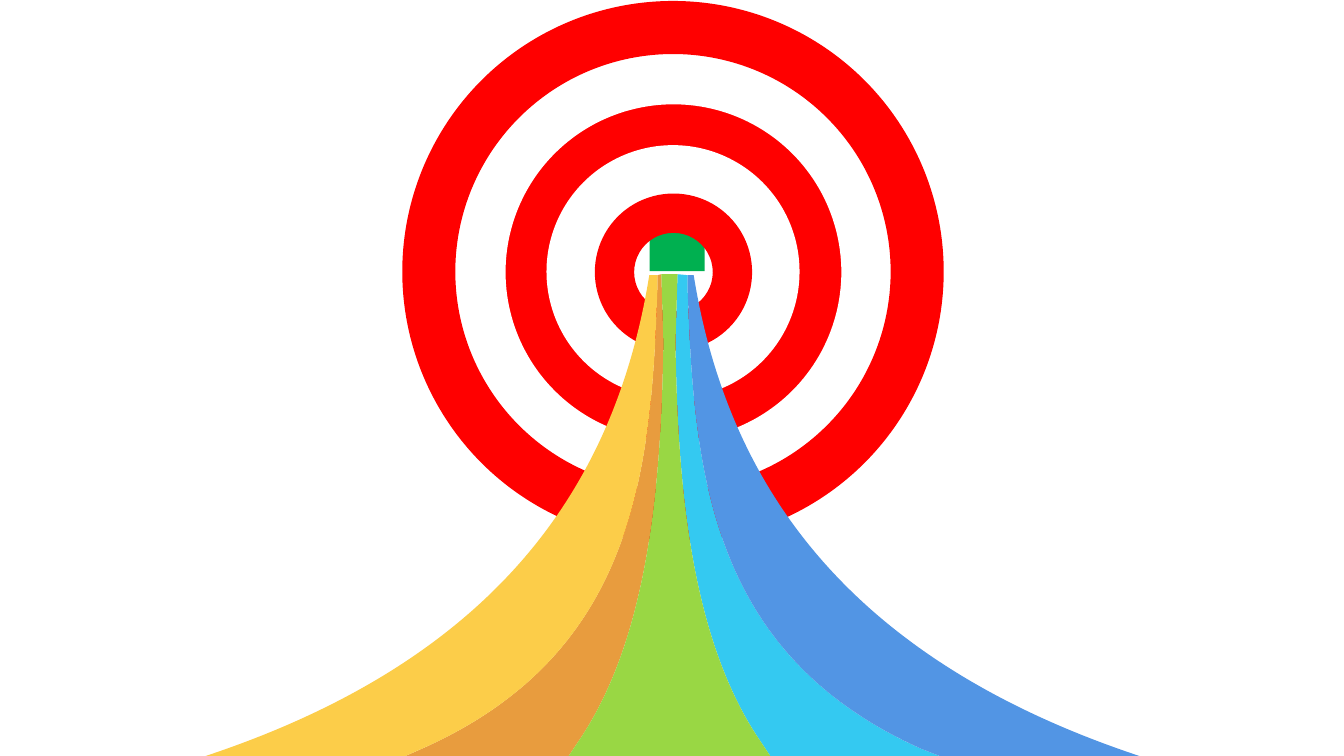
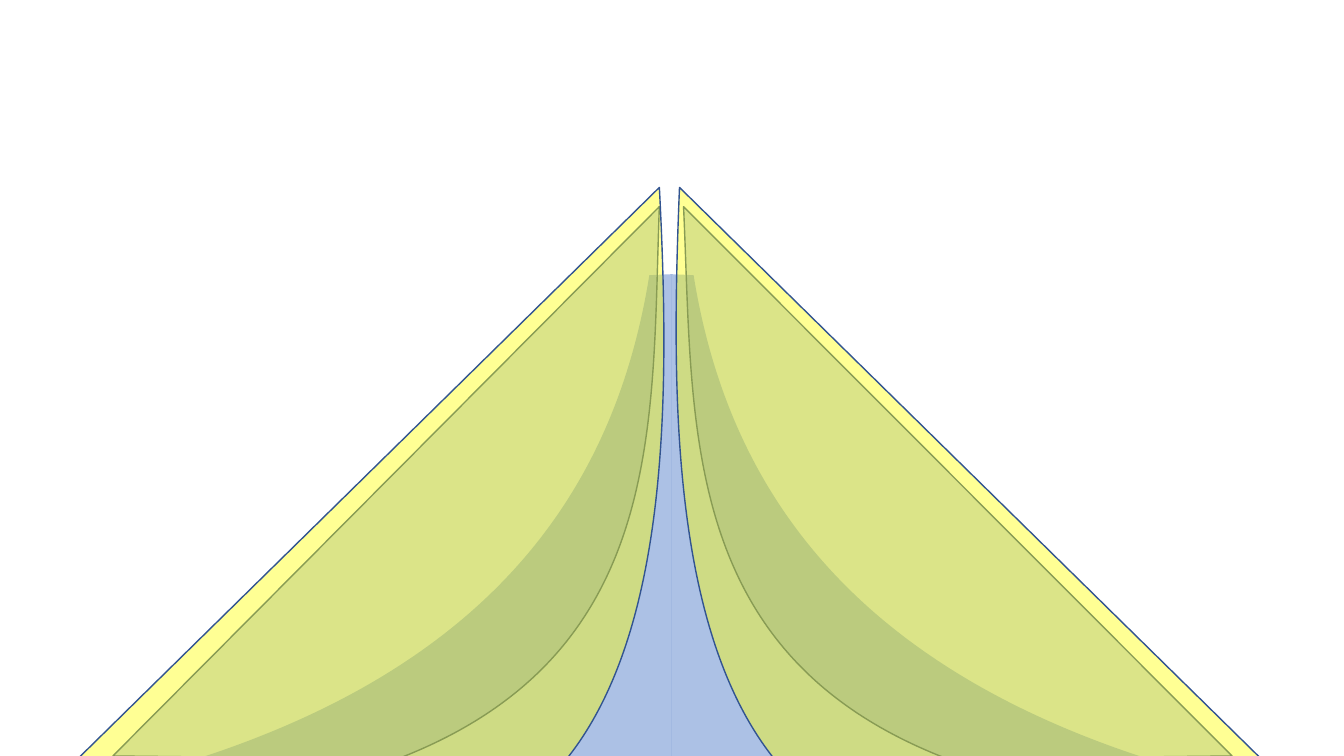
import collections
import lxml.etree
import pptx
import pptx.dml.color
import pptx.enum.shapes
import pptx.oxml.ns
import pptx.util

Box = collections.namedtuple("Box", "left top wide high")
Look = collections.namedtuple("Look", "fill alpha line", defaults=(100, None))
Edge = collections.namedtuple("Edge", "start knee pull push foot end")
RIGHT, LEFT = 1, -1
COLS, ROWS = 1333, 750
CELL = pptx.util.Inches(0.01)
KINDS = pptx.enum.shapes.MSO_SHAPE
qn = pptx.oxml.ns.qn


class Theme:
    red = Look("FF0000")
    white = Look("FFFFFF")
    green = Look("00B050")
    lime = Look("99D744")
    cyan = Look("34C9F1")
    orange = Look("E89C3E")
    yellow = Look("FCCD49")
    blue = Look("5295E4")
    wing = Look("4472C4", 44)
    tent = Look("4472C4", 32, "325491")
    cover = Look("FFFF00", 42, "325491")
    stroke = pptx.util.Pt(1)


FAN = Box(203, 272, 927, 478)
OUTER = Edge((22, 1), (22, 1), (54, 200), (165, 379), (463, 478), (463, 478))
MIDDLE = Edge((15, 1), (15, 14), (21, 197), (37, 377), (248, 471), (265, 478))
INNER = Edge((8, 0), (7, 68), (8, 212), (23, 358), (86, 457), (101, 478))
INNER = Edge(*((x - 0.5, y) for x, y in INNER))
SHIFT = -2.5


def rgb(code):
    return pptx.dml.color.RGBColor.from_string(code)


def paint(shape, look):
    shape.fill.solid()
    parts = [(shape.shadow, {"inherit": False}),
             (shape.fill.fore_color, {"rgb": rgb(look.fill)})]
    if look.line:
        parts += [(shape.line, {"width": Theme.stroke}),
                  (shape.line.color, {"rgb": rgb(look.line)})]
    else:
        shape.line.fill.background()
    for part, values in parts:
        for name, value in values.items():
            setattr(part, name, value)
    if look.alpha < 100:
        color = shape.element.spPr.find(qn("a:solidFill"))[0]
        alpha = lxml.etree.SubElement(color, qn("a:alpha"))
        alpha.set("val", str(look.alpha * 1000))


def preset(shapes, kind, box, look):
    shape = shapes.add_shape(kind, *(side * CELL for side in box))
    paint(shape, look)
    return shape


def place(box, points, side, shift=0):
    axis = box.left + box.wide / 2 + shift
    return [(axis + side * x, box.top + y) for x, y in points]


def outline(slide, edges, corners, look):
    points = sum(edges, []) + corners
    pen = slide.shapes.build_freeform(*points[0], scale=CELL)
    pen.add_line_segments(points[1:], close=True)
    shape = pen.convert_to_shape()
    track = shape.element.xpath(".//a:path")[0]
    for index in reversed(range(len(edges))):
        first = index * len(Edge._fields) + 2
        lines = list(track[first:first + 3])
        curve = lxml.etree.Element(qn("a:cubicBezTo"))
        track.insert(first, curve)
        for line in lines:
            curve.append(line[0])
            track.remove(line)
    paint(shape, look)


def ribbon(slide, box, one, two, look):
    down = place(box, *one)
    back = place(box, *two)[::-1]
    outline(slide, [down, back], [], look)


def fan(slide, box):
    inner = {side: (INNER, side, SHIFT) for side in (RIGHT, LEFT)}
    middle = {side: (MIDDLE, side) for side in (RIGHT, LEFT)}
    outer = {side: (OUTER, side) for side in (RIGHT, LEFT)}
    for one, two, look in (
            (middle[RIGHT], inner[RIGHT], Theme.cyan),
            (inner[LEFT], middle[LEFT], Theme.orange),
            (inner[LEFT], inner[RIGHT], Theme.lime),
            (middle[LEFT], outer[LEFT], Theme.yellow),
            (outer[RIGHT], middle[RIGHT], Theme.blue)):
        ribbon(slide, box, one, two, look)


def target(slide, box):
    group = slide.shapes.add_group_shape()
    for size, hole, look in (
            (346, 0.154, Theme.red), (251, 0.218, Theme.white),
            (156, 0.25, Theme.red), (444, 0.125, Theme.white),
            (537, 0.098, Theme.red)):
        gap = (box.wide - size) / 2
        spot = Box(round(box.left + gap), round(box.top + gap), size, size)
        ring = preset(group.shapes, KINDS.DONUT, spot, look)
        ring.adjustments[0] = hole


def pair(slide, box, edge, corners, look):
    for side in (RIGHT, LEFT):
        outline(slide, [place(box, edge, side)],
                place(box, corners, side), look)


def tent(slide, box, curve, corner, look):
    top, pull, push, foot = curve
    pair(slide, box, Edge(top, top, pull, push, foot, foot), [corner], look)


def goal(slide):
    preset(slide.shapes, KINDS.UP_ARROW, Box(617, 59, 109, 210), Theme.green)
    target(slide, Box(399, 1, 537, 537))
    fan(slide, FAN)


def peak(slide):
    pair(slide, FAN, OUTER, [(0, FAN.high), (0, 0)], Theme.wing)
    tent(slide, Box(111, 205, 1111, 548),
         [(12, 0), (21, 216), (5, 445), (273, 548)], (555, 545), Theme.tent)
    tent(slide, Box(78, 186, 1173, 568),
         [(10, 0), (1, 196), (-1, 437), (103, 567)], (586, 566), Theme.cover)


def main():
    deck = pptx.Presentation()
    deck.slide_width, deck.slide_height = COLS * CELL, ROWS * CELL
    for build in (goal, peak):
        build(deck.slides.add_slide(deck.slide_layouts[6]))
    deck.save("out.pptx")


if __name__ == "__main__":
    main()
